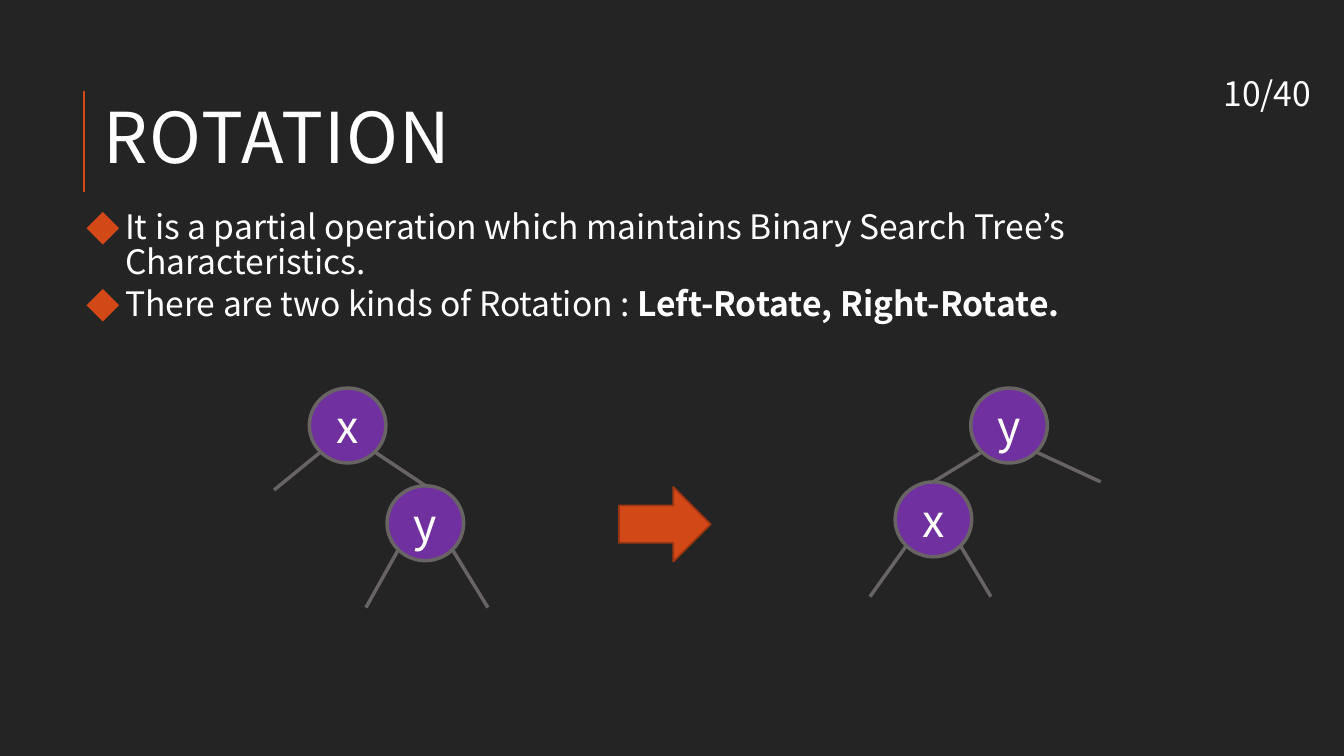
import pptx
import pptx.util
import pptx.dml.color
import pptx.enum.shapes
import pptx.enum.text
import pptx.oxml
import pptx.oxml.ns

Pt = pptx.util.Pt
KIND = pptx.enum.shapes.MSO_SHAPE
ALIGN = pptx.enum.text.PP_ALIGN
ANCHOR = pptx.enum.text.MSO_ANCHOR
FONT = "Noto Sans CJK JP"
HUES = {
    "back": "242424", "text": "FFFFFF", "accent": "D34817",
    "edge": "9C3511", "node": "7030A0", "branch": "696464",
}

TITLE = "ROTATION"
PAGE = "10/40"
POINTS = [
    [("It is a partial operation which maintains Binary Search Tree’s Characteristics.", False)],
    [("There are two kinds of Rotation : ", False), ("Left-Rotate, Right-Rotate.", True)],
]
NODES = [
    ("x", (221, 277.2), [(195.8, 350), (303.9, 347)]),
    ("y", (276.5, 347), [(261.4, 434), (348.5, 434)]),
    ("x", (639.4, 344.2), [(621.4, 426.2), (707.8, 426.2)]),
    ("y", (693.4, 277.2), [(666.7, 344.2), (786.2, 344.2)]),
]
NODE = (54.7, 53.5)
NEAR = 0.146
FAR = 1 - NEAR


def hue(name):
    return pptx.dml.color.RGBColor.from_string(HUES[name])


def put(thing, vals):
    for key, val in vals.items():
        setattr(thing, key, val)


def style(font, size, **more):
    put(font, {"name": FONT, "size": Pt(size), **more})
    font.color.rgb = hue("text")


def place(shape, left, top, width, height):
    put(shape, {"left": Pt(left), "top": Pt(top), "width": Pt(width), "height": Pt(height)})


def line(start, end, color, width):
    link = slide.shapes.add_connector(
        pptx.enum.shapes.MSO_CONNECTOR.STRAIGHT, *map(Pt, start + end))
    link.line.color.rgb = hue(color)
    link.line.width = Pt(width)
    pptx.oxml.ns.qn("a:effectLst")
    link._element.spPr.append(
        pptx.oxml.parse_xml(f'<a:effectLst {pptx.oxml.ns.nsdecls("a")}/>'))


def solid(kind, box, fill, edge, width):
    shape = slide.shapes.add_shape(kind, *map(Pt, box))
    shape.shadow.inherit = False
    shape.fill.solid()
    shape.fill.fore_color.rgb = hue(fill)
    shape.line.color.rgb = hue(edge)
    shape.line.width = Pt(width)
    return shape


def bullet(para):
    props = para._p.get_or_add_pPr()
    put_in = {"marL": Pt(40.3), "indent": Pt(-27.4)}
    for key, val in put_in.items():
        props.set(key, str(val))
    space = pptx.oxml.ns.nsdecls("a")
    for xml in (
        f'<a:buClr {space}><a:srgbClr val="{HUES["accent"]}"/></a:buClr>',
        f'<a:buFont {space} typeface="{FONT}"/>',
        f'<a:buChar {space} char="◆"/>',
    ):
        props.append(pptx.oxml.parse_xml(xml))


deck = pptx.Presentation()
put(deck, {"slide_width": Pt(960), "slide_height": Pt(540)})
slide = deck.slides.add_slide(deck.slide_layouts[1])
slide.background.fill.solid()
slide.background.fill.fore_color.rgb = hue("back")

line((60, 136.8), (60, 64.8), "accent", 1.5)

title = slide.shapes.title
place(title, 67, 66.2, 782.6, 72)
frame = title.text_frame
put(frame, {"text": TITLE, "vertical_anchor": ANCHOR.MIDDLE,
            "auto_size": pptx.enum.text.MSO_AUTO_SIZE.NONE})
para = frame.paragraphs[0]
put(para, {"alignment": ALIGN.LEFT, "line_spacing": 0.8})
style(para.runs[0].font, 50)
para.runs[0]._r.get_or_add_rPr().set("spc", "100")

body = slide.placeholders[1]
place(body, 45.4, 146.2, 877.7, 83.5)
frame = body.text_frame
put(frame, {"margin_left": Pt(3.6), "margin_right": Pt(3.6),
            "margin_top": Pt(5.6), "margin_bottom": Pt(3.6),
            "vertical_anchor": ANCHOR.TOP,
            "auto_size": pptx.enum.text.MSO_AUTO_SIZE.NONE})
for rank, parts in enumerate(POINTS):
    para = frame.add_paragraph() if rank else frame.paragraphs[0]
    bullet(para)
    put(para, {"line_spacing": 0.85, "space_before": Pt(2 if rank else 0),
               "space_after": Pt(4), "alignment": ALIGN.LEFT})
    for words, bold in parts:
        run = para.add_run()
        run.text = words
        style(run.font, 24, bold=bold)

solid(KIND.RIGHT_ARROW, (442.1, 347.8, 65.5, 53.3), "accent", "edge", 1.25)

wide, high = NODE
for name, (left, top), ends in NODES:
    ball = solid(KIND.OVAL, (left, top, wide, high), "node", "branch", 2.5)
    put(ball.text_frame, {"text": name, "vertical_anchor": ANCHOR.MIDDLE})
    para = ball.text_frame.paragraphs[0]
    para.alignment = ALIGN.CENTER
    style(para.runs[0].font, 32)
    for side, end in zip((NEAR, FAR), ends):
        line((left + side * wide, top + FAR * high), end, "branch", 2.5)

page = slide.shapes.add_textbox(*map(Pt, (866.9, 46.1, 86.4, 40.3)))
put(page.text_frame, {"text": PAGE, "word_wrap": True, "vertical_anchor": ANCHOR.MIDDLE})
style(page.text_frame.paragraphs[0].runs[0].font, 24)

deck.save("out.pptx")
